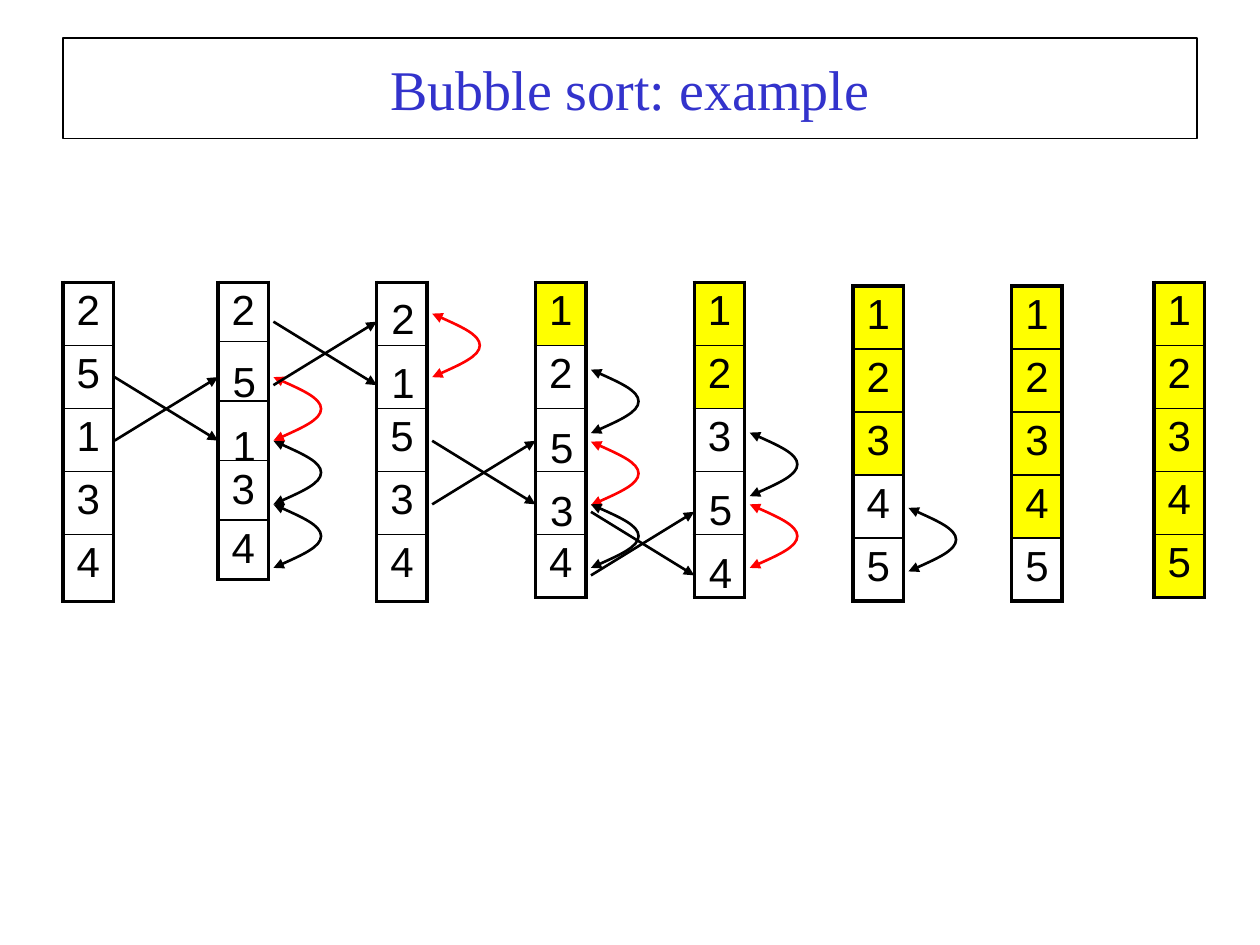
from lxml import etree
from pptx import Presentation
from pptx.dml.color import RGBColor
from pptx.enum.shapes import MSO_CONNECTOR
from pptx.enum.text import MSO_ANCHOR, PP_ALIGN
from pptx.oxml.ns import qn
from pptx.util import Pt

CENTER = PP_ALIGN.CENTER
MIDDLE = MSO_ANCHOR.MIDDLE
TOP = MSO_ANCHOR.TOP
STRAIGHT = MSO_CONNECTOR.STRAIGHT

COLORS = {"black": "000000", "red": "FF0000", "sorted": "FFFF00", "title": "3333CC"}
COLUMN_WIDTH = 28.8
ROW_HEIGHT = 36
STEP = 36.3
GAP = 31.7
COLUMNS = [36] + [124.56 + 90.72 * index for index in range(6)] + [659.5]


class SortSlide:
    """Draws the elements of the sorting slide in one style."""

    def __init__(self, slide):
        self.slide = slide
        self.title_font = "Times New Roman"
        self.digit_font = "Arial"

    def color(self, name):
        return RGBColor.from_string(COLORS[name])

    def label(self, paragraph, text, font_name, size, color):
        paragraph.text = text
        paragraph.alignment = CENTER
        paragraph.font.name = font_name
        paragraph.font.size = Pt(size)
        paragraph.font.color.rgb = self.color(color)

    def outline(self, shape, color, width, ends=()):
        shape.line.color.rgb = self.color(color)
        shape.line.width = Pt(width)
        line = shape._element.find(".//" + qn("a:ln"))
        for end in ends:
            etree.SubElement(line, qn("a:" + end), type="triangle")

    def title(self, text, left, top, width, height):
        shape = self.slide.shapes.title
        shape.left, shape.top = Pt(left), Pt(top)
        shape.width, shape.height = Pt(width), Pt(height)
        shape.text_frame.vertical_anchor = MIDDLE
        self.label(shape.text_frame.paragraphs[0], text, self.title_font, 32, "title")
        self.outline(shape, "black", 1)

    def borders(self, cell, first, last):
        properties = cell._tc.get_or_add_tcPr()
        widths = {"lnL": 2.25, "lnR": 2.25,
                  "lnT": 2.25 if first else 1, "lnB": 2.25 if last else 1}
        for position, (side, width) in enumerate(widths.items()):
            line = etree.Element(qn("a:" + side), w=str(Pt(width)))
            fill = etree.SubElement(line, qn("a:solidFill"))
            etree.SubElement(fill, qn("a:srgbClr"), val=COLORS["black"])
            properties.insert(position, line)

    def array(self, left, top, digits, sorted_count, row_height, last_height):
        count = len(digits)
        height = row_height * (count - 1) + last_height
        table = self.slide.shapes.add_table(
            count, 1, Pt(left), Pt(top), Pt(COLUMN_WIDTH), Pt(height)).table
        table.first_row = table.horz_banding = False
        for index, digit in enumerate(digits):
            last = index == count - 1
            table.rows[index].height = Pt(last_height if last else row_height)
            cell = table.cell(index, 0)
            cell.margin_left = cell.margin_right = 0
            cell.margin_top = cell.margin_bottom = Pt(3.2)
            cell.vertical_anchor = TOP
            if index < sorted_count:
                cell.fill.solid()
                cell.fill.fore_color.rgb = self.color("sorted")
            else:
                cell.fill.background()
            self.borders(cell, index == 0, last)
            if digit.strip():
                self.label(cell.text_frame.paragraphs[0], digit, self.digit_font, 24, "black")

    def digit(self, left, top, text):
        box = self.slide.shapes.add_textbox(Pt(left), Pt(top), Pt(30.2), Pt(ROW_HEIGHT))
        frame = box.text_frame
        frame.word_wrap = True
        frame.vertical_anchor = TOP
        frame.margin_top = Pt(6)
        frame.margin_left = frame.margin_right = frame.margin_bottom = 0
        self.label(frame.paragraphs[0], text, self.digit_font, 24, "black")

    def arc(self, left, top, color):
        points = [(0.5, 1 / 6), (1, 1 / 3), (1, 0.5), (1, 2 / 3), (0.5, 5 / 6), (0, 1)]
        builder = self.slide.shapes.build_freeform(Pt(left), Pt(top))
        builder.add_line_segments(
            [(Pt(left + 27.2 * x), Pt(top + STEP * y)) for x, y in points], close=False)
        shape = builder.convert_to_shape()
        outline = shape._element.find(".//" + qn("a:path"))
        segments = outline.findall(qn("a:lnTo"))
        for start in (0, 3):
            curve = etree.SubElement(outline, qn("a:cubicBezTo"))
            for segment in segments[start:start + 3]:
                curve.append(segment[0])
                outline.remove(segment)
        shape.shadow.inherit = False
        shape.fill.background()
        self.outline(shape, color, 1.5, ("headEnd", "tailEnd"))

    def arrow(self, left, top, right, bottom):
        connector = self.slide.shapes.add_connector(
            STRAIGHT, Pt(left), Pt(top), Pt(right), Pt(bottom))
        self.outline(connector, "black", 1.5, ("tailEnd",))
        etree.SubElement(connector._element.spPr, qn("a:effectLst"))

    def swap(self, left, top, right):
        self.arrow(left, top, right, top + STEP)
        self.arrow(left, top + STEP, right, top)


def main():
    presentation = Presentation()
    presentation.slide_width, presentation.slide_height = Pt(720), Pt(540)
    slide = presentation.slides.add_slide(presentation.slide_layouts[5])
    sort = SortSlide(slide)
    sort.title("Bubble sort: example", 36, 21.6, 648, 57.6)

    arrays = [
        ("25134", 0, 161.3, 36, 38.4), ("2  34", 0, 161.3, 34, 34),
        ("  534", 0, 161.3, 36, 38.4), ("12  4", 1, 161.3, 36, 36),
        ("123  ", 2, 161.3, 36, 36), ("12345", 3, 163.4, 36, 36),
        ("12345", 4, 163.4, 36, 36), ("12345", 5, 161.3, 36, 36),
    ]
    for left, (digits, count, top, height, last) in zip(COLUMNS, arrays):
        sort.array(left, top, digits, count, height, last)

    moved = [(1, 197.3, "51"), (2, 161.3, "21"), (3, 234.6, "53"), (4, 270.2, "54")]
    for column, top, pair in moved:
        for index, text in enumerate(pair):
            sort.digit(COLUMNS[column], top + STEP * index, text)

    arcs = [
        (1, 288.2, "black"), (1, 251.9, "black"), (1, 215.5, "red"),
        (2, 179.2, "red"), (3, 252.4, "red"), (3, 288.2, "black"),
        (3, 211.2, "black"), (4, 247.2, "black"), (4, 288.2, "red"),
        (5, 290.2, "black"),
    ]
    for column, top, color in arcs:
        sort.arc(COLUMNS[column] + GAP, top, color)

    swaps = [(0, 29.5, 215.5), (1, GAP, 183.8), (2, GAP, 251.9), (3, GAP, 292.5)]
    for column, offset, top in swaps:
        sort.swap(COLUMNS[column] + offset, top, COLUMNS[column + 1])

    presentation.save("out.pptx")


if __name__ == "__main__":
    main()
